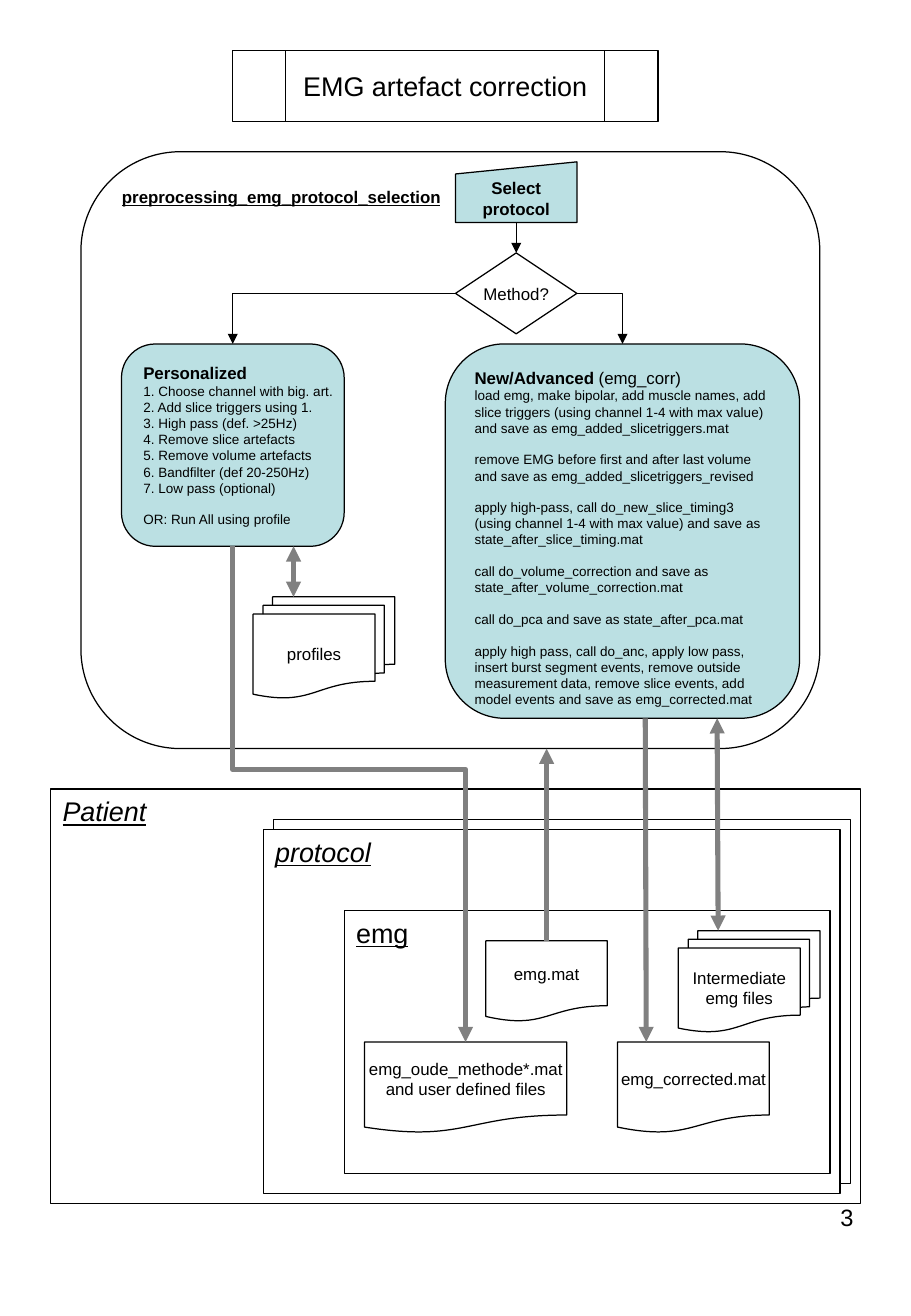
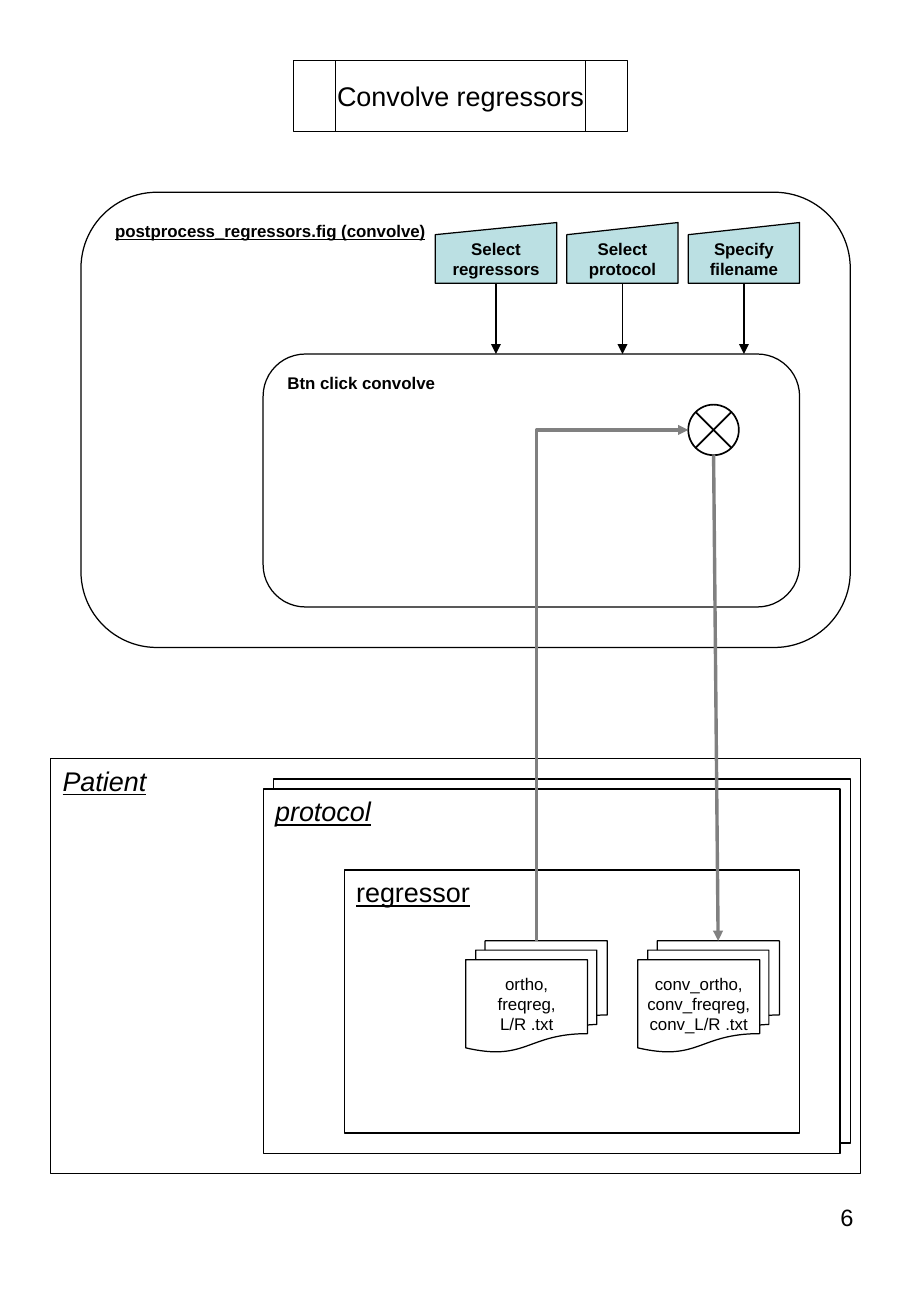
from lxml import etree
from pptx import Presentation
from pptx import util as u
from pptx.dml.color import RGBColor
from pptx.enum import shapes, text
from pptx.oxml.ns import qn

CELL = u.Inches(1) / 12
FONT = "Arial"
COLORS = {"ink": "000000", "step": "BBE0E3", "paper": "FFFFFF", "flow": "808080"}
KIND = shapes.MSO_SHAPE
ALIGN = text.PP_ALIGN
ANCHOR = text.MSO_ANCHOR
HEADING = {"size": u.Pt(16), "underline": True}
FOLDER = {**HEADING, "italic": True}
LABEL = {"size": u.Pt(10)}
STRONG = {**LABEL, "bold": True}
DETAIL = {"size": u.Pt(8)}
PERSONALIZED = [
    "1. Choose channel with big. art.",
    "2. Add slice triggers using 1.",
    "3. High pass (def. >25Hz)",
    "4. Remove slice artefacts",
    "5. Remove volume artefacts",
    "6. Bandfilter (def 20-250Hz)",
    "7. Low pass (optional)",
    "OR: Run All using profile",
]
ADVANCED = [
    "load emg, make bipolar, add muscle names, add slice triggers (using channel 1-4 "
    "with max value) and save as emg_added_slicetriggers.mat",
    "remove EMG before first and after last volume and save as emg_added_slicetriggers_revised",
    "apply high-pass, call do_new_slice_timing3 (using channel 1-4 with max value) "
    "and save as state_after_slice_timing.mat",
    "call do_volume_correction and save as state_after_volume_correction.mat",
    "call do_pca and save as state_after_pca.mat",
    "apply high pass, call do_anc, apply low pass, insert burst segment events, remove outside "
    "measurement data, remove slice events, add model events and save as emg_corrected.mat",
]


def cells(*values):
    return [u.Emu(round(v * CELL)) for v in values]


def inside(box, dx, dy, w, h):
    return box[0] + dx, box[1] + dy, w, h


def rgb(name):
    return RGBColor.from_string(COLORS[name])


def write(p, words, fmt):
    r = p.add_run()
    r.text = words
    r.font.color.rgb = rgb("ink")
    for key, value in {"name": FONT, **fmt}.items():
        setattr(r.font, key, value)


def fill_text(tf, lines, fmt, align=ALIGN.CENTER, anchor=ANCHOR.MIDDLE, wrap=False):
    for key, value in {"word_wrap": wrap, "vertical_anchor": anchor}.items():
        setattr(tf, key, value)
    for i, line in enumerate(lines):
        p = tf.add_paragraph() if i else tf.paragraphs[0]
        p.alignment = align
        write(p, line, fmt)


def add_box(s, kind, box, fill=None, width=0.75, lines=(), fmt=LABEL, **layout):
    sp = s.shapes.add_shape(kind, *cells(*box))
    sp.shadow.inherit = False
    if fill:
        sp.fill.solid()
        sp.fill.fore_color.rgb = rgb(fill)
    else:
        sp.fill.background()
    sp.line.color.rgb = rgb("ink")
    sp.line.width = u.Pt(width)
    fill_text(sp.text_frame, lines, fmt, **layout)
    return sp


def add_corner_box(s, kind, box, line, fmt, fill=None):
    return add_box(s, kind, box, fill, lines=[line], fmt=fmt, align=ALIGN.LEFT, anchor=ANCHOR.TOP)


def add_files(s, box, *lines, many=False):
    kind = KIND.FLOWCHART_MULTIDOCUMENT if many else KIND.FLOWCHART_DOCUMENT
    return add_box(s, kind, box, "paper", lines=lines)


def add_input(s, box, *lines):
    return add_box(s, KIND.FLOWCHART_MANUAL_INPUT, box, "step", lines=lines, fmt=STRONG)


def add_arrow(s, start, end, color="ink", width=0.75, heads=("tailEnd",), elbow=False,
              begin=None, finish=None):
    kind = shapes.MSO_CONNECTOR.ELBOW if elbow else shapes.MSO_CONNECTOR.STRAIGHT
    c = s.shapes.add_connector(kind, *cells(*start, *end))
    if begin:
        c.begin_connect(*begin)
    if finish:
        c.end_connect(*finish)
    c.begin_x, c.begin_y = cells(*start)
    c.end_x, c.end_y = cells(*end)
    c.line.color.rgb = rgb(color)
    c.line.width = u.Pt(width)
    ln = c.line._get_or_add_ln()
    for head in heads:
        etree.SubElement(ln, qn("a:" + head), type="triangle")
    etree.SubElement(c._element.spPr, qn("a:effectLst"))
    if elbow:
        c._element.spPr.find(qn("a:prstGeom")).set("prst", "bentConnector2")
    return c


def add_step_down_arrow(s, start, end, share, begin, finish, **style):
    c = add_arrow(s, start, end, elbow=True, begin=begin, finish=finish, **style)
    w, h = end[1] - start[1], end[0] - start[0]
    left, top = (start[0] + end[0] - w) / 2, (start[1] + end[1] - h) / 2
    c.begin_x, c.begin_y = cells(left + w, top)
    c.end_x, c.end_y = cells(left, top + h)
    sp_pr = c._element.spPr
    sp_pr.find(qn("a:xfrm")).set("rot", str(270 * 60000))
    geom = sp_pr.find(qn("a:prstGeom"))
    geom.set("prst", "bentConnector3")
    for old in geom.findall(qn("a:avLst")):
        geom.remove(old)
    guides = etree.SubElement(geom, qn("a:avLst"))
    etree.SubElement(guides, qn("a:gd"), name="adj1", fmla=f"val {round(share * 100000)}")


def start_slide(prs, title, box, number):
    s = prs.slides.add_slide(prs.slide_layouts[5])
    add_box(s, KIND.FLOWCHART_PREDEFINED_PROCESS, box)
    ph = s.shapes.title
    ph.left, ph.top, ph.width, ph.height = cells(*box)
    fill_text(ph.text_frame, [title], {"size": u.Pt(16)})
    page = s.shapes.add_textbox(*cells(64.5, 118.3, 21, 9))
    fill_text(page.text_frame, [str(number)], {"size": u.Pt(14)}, ALIGN.RIGHT, ANCHOR.TOP, True)
    return s


def add_patient(s, box, drop, name, width):
    back = inside(box, 22, drop, 57, 36)
    front = inside(back, -1, 1, 57, 36)
    inner = inside(front, 8, 8, width, 26)
    add_box(s, KIND.RECTANGLE, back, "paper")
    add_corner_box(s, KIND.RECTANGLE, front, "protocol", FOLDER, "paper")
    add_corner_box(s, KIND.RECTANGLE, box, "Patient", FOLDER)
    add_corner_box(s, KIND.RECTANGLE, inner, name, HEADING)
    return inner


def add_method(s, box, heading, details, gaps, note="", **layout):
    sp = add_box(s, KIND.FLOWCHART_ALTERNATE_PROCESS, box, "step", lines=[heading], fmt=STRONG,
                 align=ALIGN.LEFT, **layout)
    tf = sp.text_frame
    if note:
        write(tf.paragraphs[0], note, LABEL)
    for i, line in enumerate(details):
        p = tf.add_paragraph()
        p.alignment = ALIGN.LEFT
        if i in gaps:
            p.space_before = u.Pt(9.2)
        write(p, line, DETAIL)
    return sp


def add_selection(s, box):
    add_corner_box(s, KIND.FLOWCHART_ALTERNATE_PROCESS, box,
                   "preprocessing_emg_protocol_selection", {**STRONG, "underline": True})
    personal = add_method(s, inside(box, 4, 19, 22, 20), "Personalized", PERSONALIZED, [7])
    advanced = add_method(s, inside(box, 36, 19, 35, 37), "New/Advanced ", ADVANCED,
                          range(1, len(ADVANCED)), "(emg_corr)", anchor=ANCHOR.TOP, wrap=True)
    method = add_box(s, KIND.FLOWCHART_DECISION, inside(box, 37, 10, 12, 8), lines=["Method?"])
    select = add_input(s, inside(box, 37, 1, 12, 6), "Select", "protocol")
    add_files(s, inside(box, 17, 44, 14, 10), "profiles", many=True)
    x, y = box[:2]
    add_arrow(s, (x + 43, y + 7), (x + 43, y + 10), begin=(select, 2), finish=(method, 0))
    add_arrow(s, (x + 37, y + 14), (x + 15, y + 19), elbow=True,
              begin=(method, 1), finish=(personal, 0))
    add_arrow(s, (x + 49, y + 14), (x + 53.5, y + 19), elbow=True,
              begin=(method, 3), finish=(advanced, 0))
    add_arrow(s, (x + 21, y + 39), (x + 21, y + 44), "flow", 3, ("headEnd", "tailEnd"))
    return personal


def build_correction(prs):
    s = start_slide(prs, "EMG artefact correction", (23, 5, 42, 7), 3)
    emg = add_patient(s, (5, 78, 80, 41), 3, "emg", 48)
    add_files(s, inside(emg, 27, 13, 15, 9), "emg_corrected.mat")
    raw = add_files(s, inside(emg, 14, 3, 12, 8), "emg.mat")
    old = add_files(s, inside(emg, 2, 13, 20, 9), "emg_oude_methode*.mat",
                    "and user defined files")
    add_files(s, inside(emg, 33, 2, 14, 10), "Intermediate", "emg files", many=True)
    personal = add_selection(s, (8, 15, 73, 59))
    add_arrow(s, (54, 93), (54, 74), "flow", 3, begin=(raw, 0))
    add_arrow(s, (63.75, 71), (63.85, 103), "flow", 3)
    add_arrow(s, (70.85, 71), (70.95, 92), "flow", 3, ("headEnd", "tailEnd"))
    add_step_down_arrow(s, (23, 54), (46, 103), 0.45, (personal, 2), (old, 0),
                        color="flow", width=3)


def add_convolve(s, box):
    add_corner_box(s, KIND.FLOWCHART_ALTERNATE_PROCESS, box,
                   "postprocess_regressors.fig (convolve)", {**STRONG, "underline": True})
    add_corner_box(s, KIND.FLOWCHART_ALTERNATE_PROCESS, inside(box, 18, 16, 53, 25),
                   "Btn click convolve", STRONG)
    inputs = [(35, 12, "Select", "regressors"), (48, 11, "Select", "protocol"),
              (60, 11, "Specify", "filename")]
    for dx, w, *lines in inputs:
        place = inside(box, dx, 3, w, 6)
        sp = add_input(s, place, *lines)
        x = place[0] + w / 2
        add_arrow(s, (x, box[1] + 9), (x, box[1] + 16), begin=(sp, 2))
    return add_box(s, KIND.FLOWCHART_SUMMING_JUNCTION, inside(box, 60, 21, 5, 5), width=1)


def build_convolve(prs):
    s = start_slide(prs, "Convolve regressors", (29, 6, 33, 7), 6)
    regressor = add_patient(s, (5, 75, 80, 41), 2, "regressor", 45)
    source = add_files(s, inside(regressor, 12, 7, 14, 11), "ortho,", "freqreg,", "L/R .txt",
                       many=True)
    add_files(s, inside(regressor, 29, 7, 14, 11), "conv_ortho,", "conv_freqreg,",
              "conv_L/R .txt", many=True)
    junction = add_convolve(s, (8, 19, 76, 45))
    add_arrow(s, (70.5, 45), (70.95, 93), "flow", 2)
    add_arrow(s, (68, 42.5), (53, 93), "flow", 2, ("headEnd",), elbow=True,
              begin=(junction, 2), finish=(source, 0))


def main():
    prs = Presentation()
    prs.slide_width, prs.slide_height = u.Inches(7.5), u.Inches(10.84)
    build_correction(prs)
    build_convolve(prs)
    prs.save("out.pptx")


if __name__ == "__main__":
    main()
